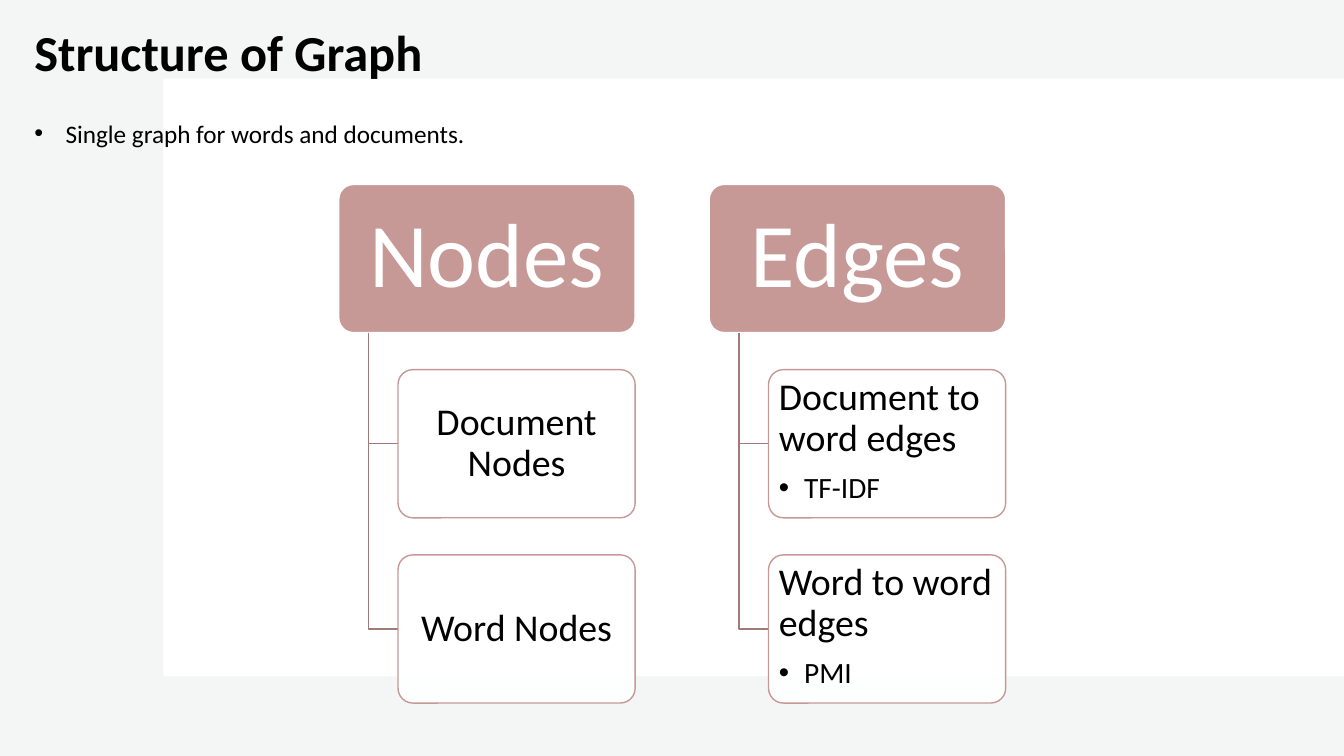
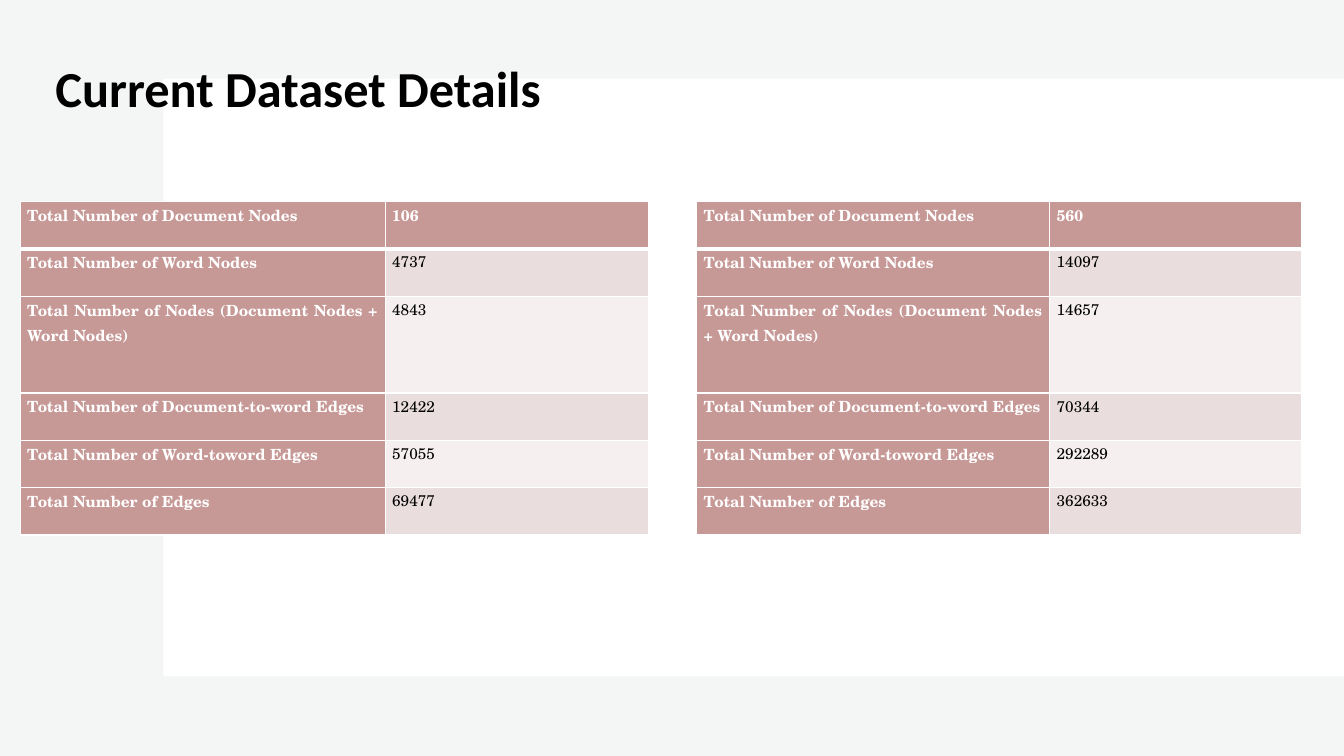
from lxml.etree import SubElement
from pptx import Presentation
from pptx.dml.color import RGBColor
from pptx.enum.shapes import MSO_SHAPE as SHAPE
from pptx.enum.text import MSO_ANCHOR as ANCHOR, MSO_AUTO_SIZE as AUTO, PP_ALIGN as ALIGN
from pptx.oxml.ns import qn
from pptx.util import Inches, Pt

BACK, WHITE, BLACK = "F4F6F5", "FFFFFF", "000000"
ROSE, ROSE_DARK, BAND_DARK, BAND_LIGHT = "C69896", "9F7A78", "EADDDD", "F5EFEF"
SANS, SERIF = "Calibri", "TeX Gyre Schola"

TREES = [
    ("Nodes", [("Document Nodes", None), ("Word Nodes", None)]),
    ("Edges", [("Document to word edges", "TF-IDF"), ("Word to word edges", "PMI")]),
]
LABELS = [
    "Total Number of Document Nodes",
    "Total Number of Word Nodes",
    "Total Number of Nodes (Document Nodes + Word Nodes)",
    "Total Number of Document-to-word Edges",
    "Total Number of Word-toword Edges",
    "Total Number of Edges",
]
ROW_HEIGHTS = [0.47, 0.47, 0.96, 0.47, 0.47, 0.47]


def rgb(color):
    return RGBColor.from_string(color)


def place(sp, x, y, w, h):
    sp.left, sp.top, sp.width, sp.height = (Inches(v) for v in (x, y, w, h))


def style(p, size, color=BLACK, bold=False, font=SANS):
    for r in p.runs:
        r.font.size, r.font.bold, r.font.name = Pt(size), bold, font
        r.font.color.rgb = rgb(color)


def set_margins(box, x, y):
    box.margin_left = box.margin_right = Inches(x)
    box.margin_top = box.margin_bottom = Inches(y)


def bullet(p, indent):
    pPr = p._p.get_or_add_pPr()
    pPr.set("marL", str(Inches(indent)))
    pPr.set("indent", str(-Inches(indent)))
    SubElement(pPr, qn("a:buFont"), typeface="Arial")
    SubElement(pPr, qn("a:buChar"), char="•")


def add_box(slide, shape, box, fill, line=None, opacity=100):
    sp = slide.shapes.add_shape(shape, *(Inches(v) for v in box))
    sp.shadow.inherit = False
    sp.fill.solid()
    sp.fill.fore_color.rgb = rgb(fill)
    if opacity < 100:
        color = sp._element.spPr.find(".//" + qn("a:srgbClr"))
        SubElement(color, qn("a:alpha"), val=str(opacity * 1000))
    if line:
        sp.line.color.rgb = rgb(line)
        sp.line.width = Pt(1)
    else:
        sp.line.fill.background()
    return sp


def set_backdrop(prs, slide):
    """Give the master its background and white panel; the panel is drawn on slide, then moved."""
    master = prs.slide_master
    master.background.fill.solid()
    master.background.fill.fore_color.rgb = rgb(BACK)
    panel = add_box(slide, SHAPE.RECTANGLE, (1.62, 0.78, 11.71, 5.93), WHITE)
    master.shapes._spTree.insert(2, panel._element)


def set_placeholder(sp, text, box, size, bold=False):
    place(sp, *box)
    tf = sp.text_frame
    tf.text = text
    tf.word_wrap, tf.auto_size, tf.vertical_anchor = True, AUTO.NONE, ANCHOR.TOP
    p = tf.paragraphs[0]
    p.alignment, p.space_before = ALIGN.LEFT, Pt(0)
    style(p, size, bold=bold)
    return p


def set_title(slide, text, x, y):
    set_placeholder(slide.shapes.title, text, (x, y, 6.45, 0.71), 36, True)


def add_node(slide, box, text, size, color, fill, line, margins, detail=None, opacity=100):
    sp = add_box(slide, SHAPE.ROUNDED_RECTANGLE, box, fill, line, opacity)
    sp.adjustments[0] = 0.1
    tf = sp.text_frame
    tf.word_wrap = True
    tf.vertical_anchor = ANCHOR.TOP if detail else ANCHOR.MIDDLE
    set_margins(tf, *margins)
    p = tf.paragraphs[0]
    p.text = text
    p.alignment = ALIGN.LEFT if detail else ALIGN.CENTER
    p.line_spacing = 0.9
    style(p, size, color)
    if detail:
        p.space_after = Pt(9.5)
        p = tf.add_paragraph()
        p.text = detail
        p.alignment, p.line_spacing = ALIGN.LEFT, 0.9
        bullet(p, 0.25)
        style(p, 21, color)


def add_branch(slide, x, y, w, h):
    """Draw a line down from x, y and then right."""
    builder = slide.shapes.build_freeform(Inches(x), Inches(y))
    builder.add_line_segments(
        [(Inches(x), Inches(y + h)), (Inches(x + w), Inches(y + h))], close=False)
    sp = builder.convert_to_shape()
    sp.shadow.inherit = False
    sp.fill.background()
    sp.line.color.rgb = rgb(ROSE_DARK)
    sp.line.width = Pt(1)


def add_tree(slide, x, y, w, root, children):
    h = w / 2
    step, indent = h * 1.25, w / 10
    add_node(slide, (x, y, w, h), root, 65, WHITE, ROSE, WHITE, (0.14, 0.09))
    for i, (text, detail) in enumerate(children, 1):
        add_branch(slide, x + indent, y + h, indent, step * i - h / 2)
        add_node(slide, (x + 2 * indent, y + step * i, w - 2 * indent, h), text, 27,
                 BLACK, WHITE, ROSE, (0.06, 0.04), detail, opacity=90)


def set_borders(cell, top, bottom):
    tcPr = cell._tc.get_or_add_tcPr()
    for side, width in (("L", 1), ("R", 1), ("T", top), ("B", bottom)):
        ln = SubElement(tcPr, qn("a:ln" + side), w=str(Pt(width)))
        SubElement(SubElement(ln, qn("a:solidFill")), qn("a:srgbClr"), val=WHITE)


def fill_cell(cell, text, row, strong):
    set_borders(cell, 3 if row == 1 else 1, 3 if row == 0 else 1)
    cell.fill.solid()
    cell.fill.fore_color.rgb = rgb(ROSE if strong else BAND_DARK if row % 2 else BAND_LIGHT)
    set_margins(cell, 0.07, 0)
    cell.text_frame.text = text
    p = cell.text_frame.paragraphs[0]
    p.alignment, p.line_spacing = ALIGN.JUSTIFY, 1.07
    style(p, 11, WHITE if strong else BLACK, strong, SERIF)


def add_counts(slide, x, y, widths, counts):
    frame = slide.shapes.add_table(len(LABELS), 2, Inches(x), Inches(y),
                                   Inches(sum(widths)), Inches(sum(ROW_HEIGHTS)))
    table = frame.table
    table.first_row = table.horz_banding = False
    for column, width in zip(table.columns, widths):
        column.width = Inches(width)
    for i, (label, count) in enumerate(zip(LABELS, counts)):
        table.rows[i].height = Inches(ROW_HEIGHTS[i])
        fill_cell(table.cell(i, 0), label, i, True)
        fill_cell(table.cell(i, 1), str(count), i, i == 0)


def build_structure(slide):
    set_title(slide, "Structure of Graph", 0.24, 0.16)
    p = set_placeholder(slide.placeholders[1], "Single graph for words and documents.",
                        (0.24, 1.12, 6.79, 0.71), 18)
    bullet(p, 0.31)
    for i, (root, children) in enumerate(TREES):
        add_tree(slide, 3.36 + 3.675 * i, 1.83, 2.94, root, children)


def build_dataset(slide):
    set_title(slide, "Current Dataset Details", 0.45, 0.52)
    add_counts(slide, 0.2, 2, (3.62, 2.61), (106, 4737, 4843, 12422, 57055, 69477))
    add_counts(slide, 6.91, 2, (3.5, 2.5), (560, 14097, 14657, 70344, 292289, 362633))


def main():
    prs = Presentation()
    prs.slide_width, prs.slide_height = Inches(13.33), Inches(7.5)
    structure = prs.slides.add_slide(prs.slide_layouts[1])
    dataset = prs.slides.add_slide(prs.slide_layouts[5])
    set_backdrop(prs, structure)
    build_structure(structure)
    build_dataset(dataset)
    prs.save("out.pptx")


if __name__ == "__main__":
    main()
